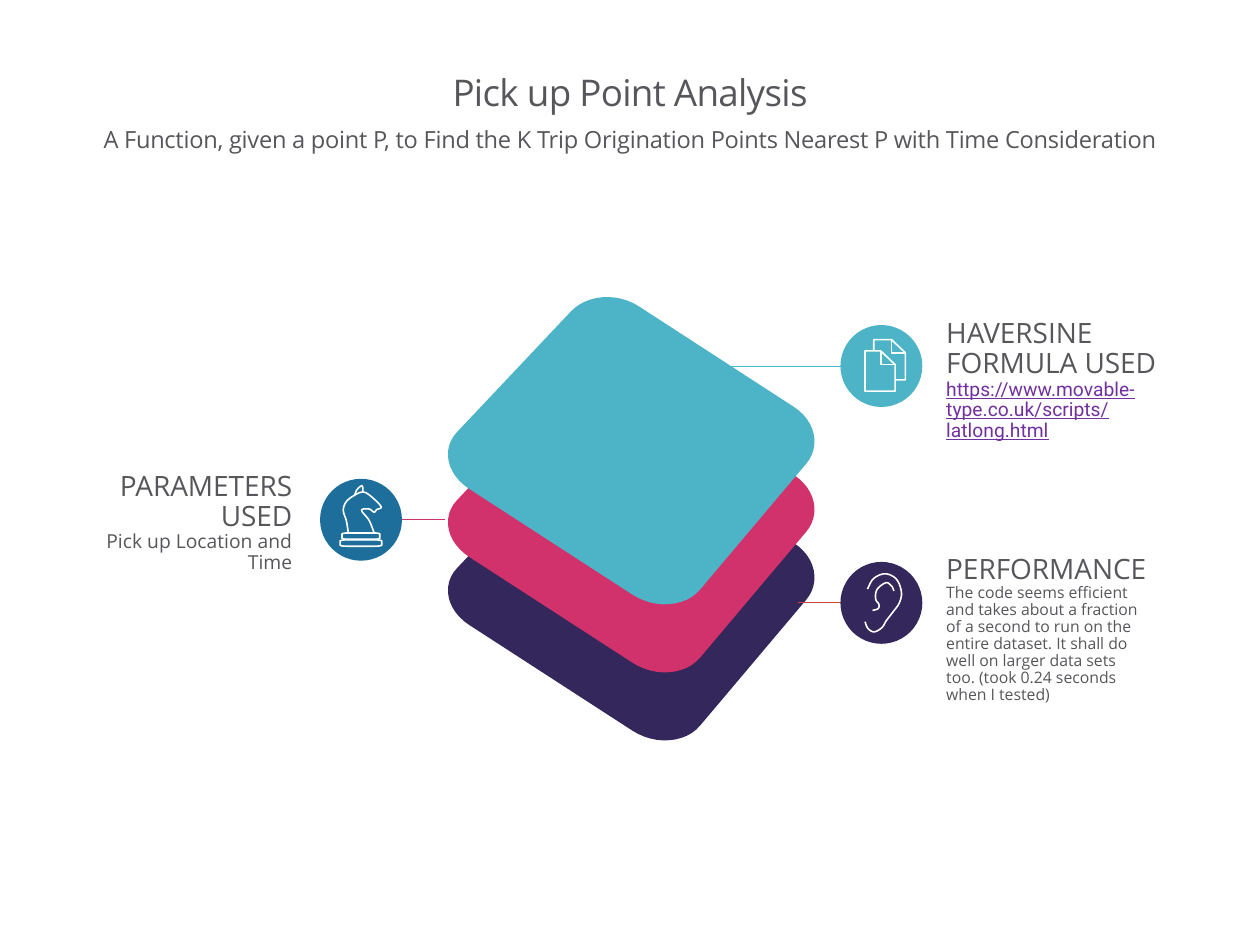
from dataclasses import dataclass
from math import cos, pi, sin

from lxml.etree import SubElement
from pptx import Presentation
from pptx.dml.color import RGBColor
from pptx.enum.shapes import MSO_CONNECTOR, MSO_SHAPE
from pptx.enum.text import MSO_ANCHOR, MSO_AUTO_SIZE, PP_ALIGN
from pptx.oxml.ns import qn
from pptx.util import Inches, Pt

Point = tuple[float, float]
Contour = list[Point]
COLUMNS, ROWS = 100, 75
CELL = Inches(0.1)


@dataclass(frozen=True)
class Theme:
    font: str = "Open Sans"
    link_font: str = "Roboto"
    text: str = "57565A"
    link: str = "7030A0"
    white: str = "FFFFFF"
    navy: str = "33275B"
    pink: str = "D2326B"
    teal: str = "4DB3C7"
    blue: str = "1D6E9B"
    red: str = "CF423F"
    title_size: float = 21
    subtitle_size: float = 13.5
    heading_size: float = 16
    detail_size: float = 11
    small_size: float = 9
    header_spacing: float = 0.86
    callout_spacing: float = 0.89
    leader_width: float = 0.5
    icon_width: float = 0.9


THEME = Theme()


@dataclass(frozen=True)
class Callout:
    heading: str
    detail: str
    box: tuple[float, float, float, float]
    badge: Point
    badge_color: str
    leader: tuple[float, float]
    leader_color: str
    icon: list[Contour]
    detail_size: float = THEME.detail_size
    align: PP_ALIGN = PP_ALIGN.LEFT
    is_link: bool = False


def cells(*lengths: float) -> list[int]:
    return [round(CELL * length) for length in lengths]


def rounded(corners: Contour, share: float = 1 / 6, steps: int = 12) -> Contour:
    outline = []
    for i, (x, y) in enumerate(corners):
        before, after = corners[i - 1], corners[(i + 1) % len(corners)]
        for step in range(steps + 1):
            turn = pi / 2 * step / steps
            back, ahead = share * (1 - sin(turn)), share * (1 - cos(turn))
            outline.append((x + back * (before[0] - x) + ahead * (after[0] - x),
                            y + back * (before[1] - y) + ahead * (after[1] - y)))
    return outline + outline[:1]


def smooth(knots: Contour, steps: int = 6) -> Contour:
    padded = knots[:1] + knots + knots[-1:]
    curve = []
    for a, b, c, d in zip(padded, padded[1:], padded[2:], padded[3:]):
        for step in range(steps):
            t = step / steps
            x, y = (q + t * (r - p) / 2 + t * t * (2 * p - 5 * q + 4 * r - s) / 2
                    + t ** 3 * (3 * q - p - 3 * r + s) / 2
                    for p, q, r, s in zip(a, b, c, d))
            curve.append((x, y))
    return curve + knots[-1:]


def bar(left: float, top: float, right: float, bottom: float) -> Contour:
    return rounded([(left, top), (right, top), (right, bottom), (left, bottom)])


def draw_outline(shapes, contours: list[Contour], origin: Point = (0, 0)):
    placed = [[tuple(cells(x + origin[0], y + origin[1])) for x, y in contour]
              for contour in contours]
    builder = shapes.build_freeform(*placed[0][0], scale=1.0)
    for i, contour in enumerate(placed):
        if i:
            builder.move_to(*contour[0])
        builder.add_line_segments(contour[1:], close=contour[0] == contour[-1])
    outline = builder.convert_to_shape()
    outline.shadow.inherit = False
    return outline


def paint(shape, color: str) -> None:
    shape.shadow.inherit = False
    shape.fill.solid()
    shape.fill.fore_color.rgb = RGBColor.from_string(color)
    shape.line.fill.background()


def style(paragraph, size: float, spacing: float, align: PP_ALIGN,
          color: str = THEME.text, font: str = THEME.font) -> None:
    paragraph.alignment = align
    paragraph.line_spacing = spacing
    paragraph.space_before = paragraph.space_after = Pt(0)
    paragraph.font.size = Pt(size)
    paragraph.font.name = font
    paragraph.font.color.rgb = RGBColor.from_string(color)


def draw_header(placeholder, text: str, box: tuple, size: float,
                tracking: int, anchor: MSO_ANCHOR) -> None:
    placeholder.left, placeholder.top, placeholder.width, placeholder.height = cells(*box)
    frame = placeholder.text_frame
    frame.text = text
    frame.auto_size = MSO_AUTO_SIZE.NONE
    frame.vertical_anchor = anchor
    frame.margin_left = frame.margin_right = frame.margin_top = frame.margin_bottom = 0
    line = frame.paragraphs[0]
    properties = line._p.get_or_add_pPr()
    properties.set("marL", "0")
    properties.set("indent", "0")
    SubElement(properties, qn("a:buNone"))
    style(line, size, THEME.header_spacing, PP_ALIGN.CENTER)
    line.runs[0]._r.get_or_add_rPr().set("spc", str(tracking))


def draw_callout(shapes, callout: Callout, badge_size: float = 6.5) -> None:
    left, top = callout.badge
    start, end = callout.leader
    middle = top + badge_size / 2
    leader = shapes.add_connector(MSO_CONNECTOR.STRAIGHT, *cells(start, middle, end, middle))
    leader.line.color.rgb = RGBColor.from_string(callout.leader_color)
    leader.line.width = Pt(THEME.leader_width)
    SubElement(leader._element.spPr, qn("a:effectLst"))

    badge = shapes.add_shape(MSO_SHAPE.OVAL, *cells(left, top, badge_size, badge_size))
    paint(badge, callout.badge_color)
    icon = draw_outline(shapes, callout.icon, callout.badge)
    icon.fill.background()
    icon.line.color.rgb = RGBColor.from_string(THEME.white)
    icon.line.width = Pt(THEME.icon_width)

    frame = shapes.add_textbox(*cells(*callout.box)).text_frame
    frame.word_wrap = True
    frame.auto_size = MSO_AUTO_SIZE.SHAPE_TO_FIT_TEXT
    frame.margin_left = frame.margin_right = Inches(0.2)
    frame.margin_top, frame.margin_bottom = Inches(0.05), Inches(0.08)
    heading, detail = frame.paragraphs[0], frame.add_paragraph()
    heading.text, detail.text = callout.heading, callout.detail
    style(heading, THEME.heading_size, THEME.callout_spacing, callout.align)
    color, font = (THEME.link, THEME.link_font) if callout.is_link else (THEME.text, THEME.font)
    style(detail, callout.detail_size, THEME.callout_spacing, callout.align, color, font)
    if callout.is_link:
        detail.font.underline = True


TILE = rounded([(47.6, 22.3), (66.1, 34.3), (53.45, 49.3), (34, 36.7)])
TILE_STEP = 5.4
DOCUMENTS = [
    [(1.95, 2.05), (3.2, 2.05), (4.35, 3.15), (4.35, 5.25), (1.95, 5.25), (1.95, 2.05)],
    [(3.2, 2.05), (3.2, 3.15), (4.35, 3.15)],
    [(2.65, 2.05), (2.65, 1.15), (4.05, 1.15), (5.15, 2.2), (5.15, 4.35), (4.35, 4.35)],
    [(4.05, 1.15), (4.05, 2.2), (5.15, 2.2)],
]
EAR = [
    smooth([(1.95, 4.75), (2.2, 5.3), (2.7, 5.55), (3.3, 5.2), (3.65, 4.65), (4.15, 4),
            (4.65, 3.3), (4.85, 2.5), (4.6, 1.6), (4.1, 1.1), (3.4, 0.95), (2.6, 1.35),
            (2.15, 2.15)]),
    smooth([(2.55, 3.85), (3, 3.7), (3.05, 3.35), (2.8, 2.95), (2.9, 2.2), (3.6, 1.65),
            (4.05, 1.9), (4.25, 2.3)]),
]
KNIGHT = [
    smooth([(2.25, 4.3), (2.1, 3.35), (1.85, 2.5), (2.1, 1.8), (2.75, 1.3), (3.4, 1.05),
            (4, 1.35), (4.85, 2.2), (4.5, 2.45), (4.3, 2.65), (3.9, 2.4), (3.3, 2.5),
            (3.9, 3.3), (4.3, 4.3)]),
    smooth([(2.75, 1.3), (2.95, 0.85), (3.35, 0.55), (3.4, 1.05)]),
    bar(1.75, 4.3, 4.75, 4.8),
    bar(1.6, 4.85, 4.9, 5.35),
]
CALLOUTS = [
    Callout("PARAMETERS USED", "Pick up Location and Time", (5.5, 37, 19.7, 9.4),
            (25.4, 38), THEME.blue, (35.3, 31.9), THEME.pink, KNIGHT, align=PP_ALIGN.RIGHT),
    Callout("HAVERSINE FORMULA USED", "https://www.movable-type.co.uk/scripts/latlong.html",
            (73.1, 24.9, 22.2, 11), (66.7, 25.8), THEME.teal, (69.6, 57.5), THEME.teal,
            DOCUMENTS, is_link=True),
    Callout("PERFORMANCE",
            "The code seems efficient and takes about a fraction of a second to run on the "
            "entire dataset. It shall do well on larger data sets too. "
            "(took 0.24 seconds when I tested)",
            (73.1, 43.6, 20, 13.1), (66.7, 44.6), THEME.navy, (69.6, 63.3), THEME.red,
            EAR, THEME.small_size),
]


def main() -> None:
    deck = Presentation()
    deck.slide_width, deck.slide_height = cells(COLUMNS, ROWS)
    slide = deck.slides.add_slide(deck.slide_layouts[1])
    title, subtitle = slide.placeholders
    draw_header(title, "Pick up Point Analysis", (7.5, 3.1, 85, 8.9),
                THEME.title_size, -40, MSO_ANCHOR.MIDDLE)
    draw_header(subtitle, "A Function, given a point P, to Find the K Trip Origination "
                "Points Nearest P with Time Consideration", (7.5, 10.2, 85, 4.4),
                THEME.subtitle_size, -10, MSO_ANCHOR.TOP)
    for level, color in zip((2, 1, 0), (THEME.navy, THEME.pink, THEME.teal)):
        paint(draw_outline(slide.shapes, [TILE], (0, level * TILE_STEP)), color)
    for callout in CALLOUTS:
        draw_callout(slide.shapes, callout)
    deck.save("out.pptx")


if __name__ == "__main__":
    main()
